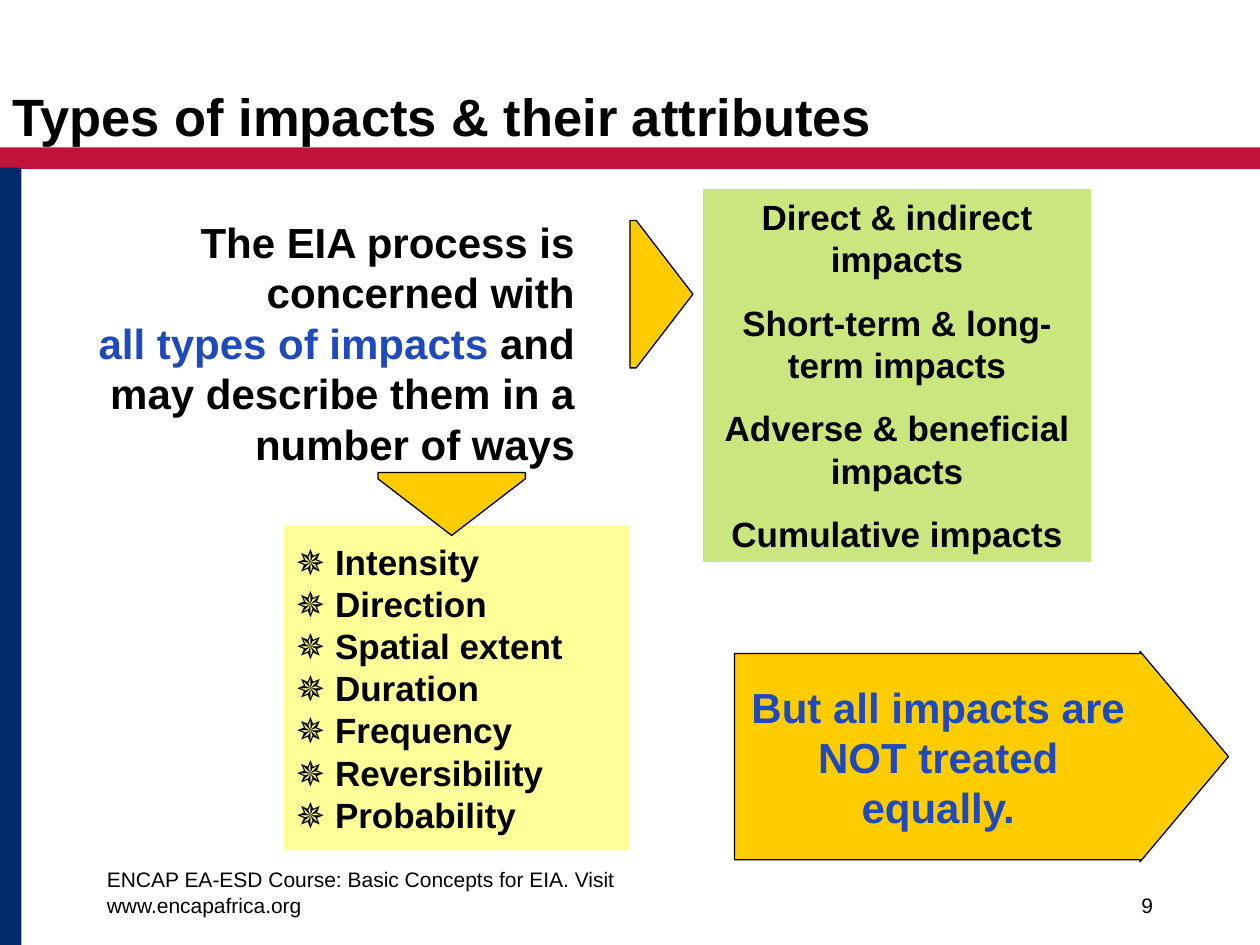
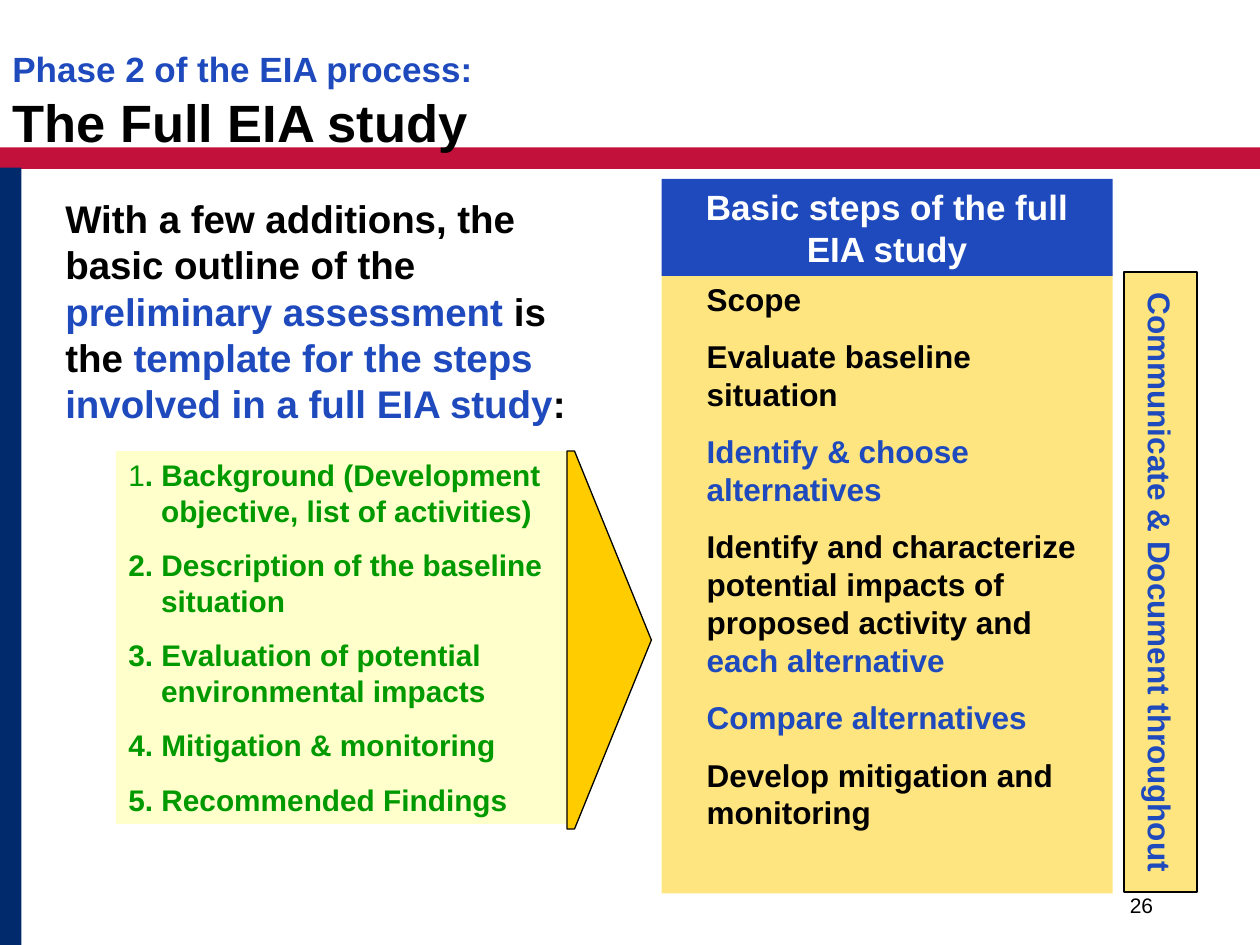
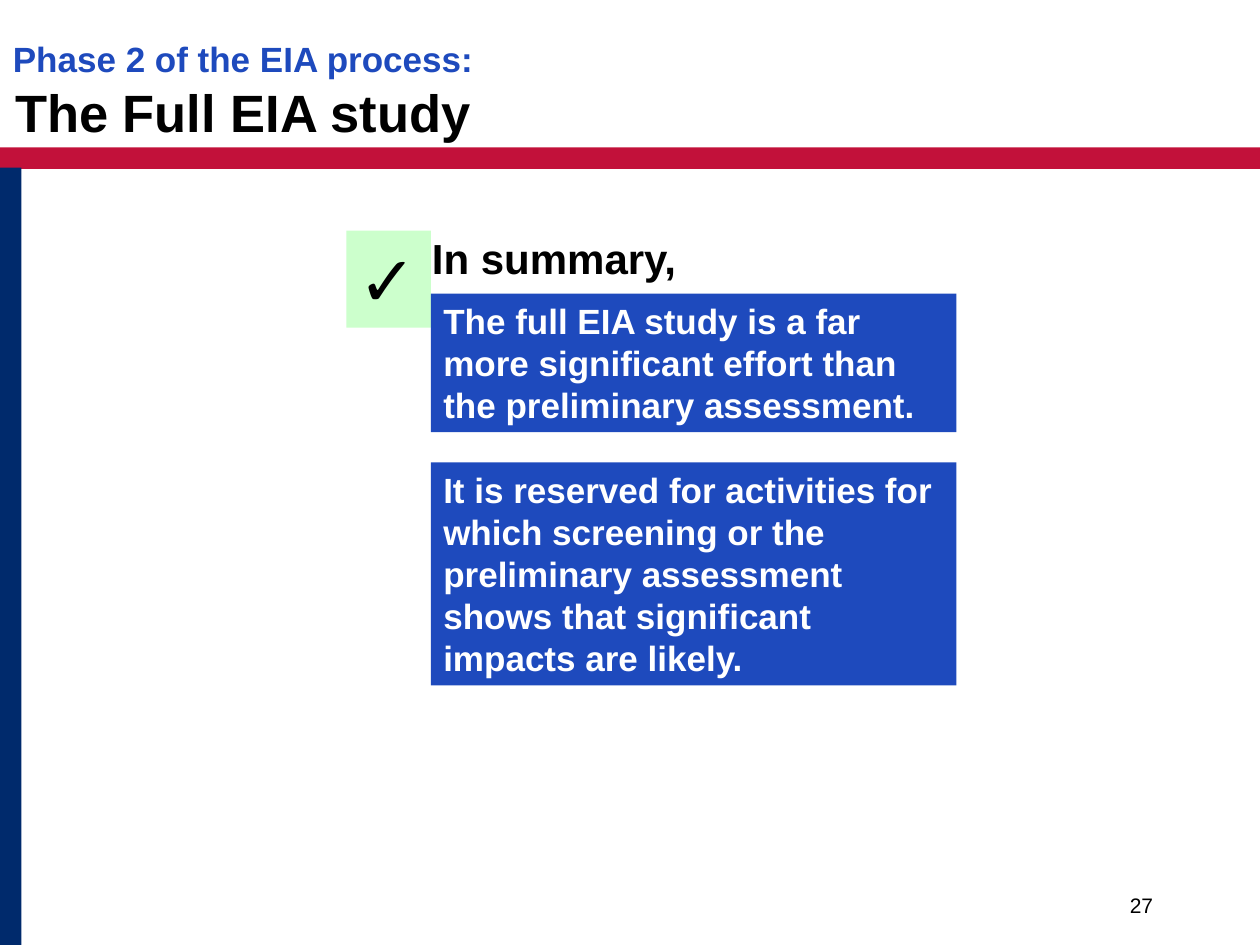
from dataclasses import dataclass
from typing import NamedTuple

from lxml import etree
from pptx import Presentation
from pptx.dml import color
from pptx.enum import shapes, text
from pptx.oxml import ns
from pptx.util import Inches, Pt

FONT = "Arial"
BLACK, WHITE, BLUE, GREEN = "000000", "FFFFFF", "1E4ABD", "009900"
RED, NAVY, GOLD, LEMON = "C2113A", "002A6C", "FFCC00", "FFFF99"
LIME, MINT = "99CC00", "CCFFCC"
LEFT, MID, RIGHT = text.PP_ALIGN.LEFT, text.PP_ALIGN.CENTER, text.PP_ALIGN.RIGHT
TOP, CORE, BASE = text.MSO_ANCHOR.TOP, text.MSO_ANCHOR.MIDDLE, text.MSO_ANCHOR.BOTTOM
RECT, ARROW = shapes.MSO_SHAPE.RECTANGLE, shapes.MSO_SHAPE.RIGHT_ARROW


class Run(NamedTuple):
    words: str
    size: float
    tint: str = BLACK
    bold: bool = True


@dataclass
class Box:
    left: float
    top: float
    width: float
    height: float
    paras: tuple = ()
    fill: str = ""
    alpha: int = 100
    line: str = ""
    align: int = LEFT
    anchor: int = TOP
    gap: float = 0
    margin: float = 0
    hang: float = 0
    wrap: bool = True
    turn: int = 0
    form: int = RECT
    bends: tuple = ()


def rgb(code: str) -> color.RGBColor:
    return color.RGBColor.from_string(code)


def apply(item, values: dict) -> None:
    for name, value in values.items():
        setattr(item, name, value)


def paint(shape, fill: str, line: str, alpha: int = 100) -> None:
    shape.shadow.inherit = False
    shape.fill.solid()
    shape.fill.fore_color.rgb = rgb(fill)
    if alpha < 100:
        tone = shape.fill._xPr.find(".//" + ns.qn("a:srgbClr"))
        etree.SubElement(tone, ns.qn("a:alpha"), val=str(alpha * 1000))
    if line:
        shape.line.color.rgb = rgb(line)
        shape.line.width = Pt(0.75)
    else:
        shape.line.fill.background()


def write(para, run: Run) -> None:
    for i, part in enumerate(run.words.split("\n")):
        if i:
            para.add_line_break()
        if part:
            piece = para.add_run()
            piece.text = part
            apply(piece.font, {"name": FONT, "size": Pt(run.size), "bold": run.bold})
            piece.font.color.rgb = rgb(run.tint)


def draw(slide, box: Box) -> None:
    area = [Inches(n) for n in (box.left, box.top, box.width, box.height)]
    if box.fill:
        shape = slide.shapes.add_shape(box.form, *area)
        paint(shape, box.fill, box.line, box.alpha)
        for i, bend in enumerate(box.bends):
            shape.adjustments[i] = bend
    else:
        shape = slide.shapes.add_textbox(*area)
    shape.rotation = box.turn
    frame = shape.text_frame
    apply(frame, {
        "word_wrap": box.wrap, "vertical_anchor": box.anchor,
        "margin_left": Inches(0.1), "margin_right": Inches(0.1),
        "margin_top": Inches(0.05), "margin_bottom": Inches(0.05),
    })
    for i, runs in enumerate(box.paras):
        para = frame.add_paragraph() if i else frame.paragraphs[0]
        para.alignment = box.align
        if i and box.gap:
            para.space_before = Pt(box.gap)
        if box.margin:
            props = para._p.get_or_add_pPr()
            props.set("marL", str(Inches(box.margin)))
            props.set("indent", str(Inches(-box.hang)))
        for run in runs:
            write(para, run)


def wedge(slide, left: float, top: float, depth: float, span: float,
          lip: float = 0.05, down: bool = False) -> None:
    spots = [(0, 0), (lip, 0), (depth, span / 2), (lip, span), (0, span)]
    if down:
        spots = [(y, x) for x, y in spots]
    spots = [(Inches(left + x), Inches(top + y)) for x, y in spots]
    pen = slide.shapes.build_freeform(*spots[0])
    pen.add_line_segments(spots[1:], close=True)
    paint(pen.convert_to_shape(), GOLD, BLACK)


def lines(size: float, *words: str, tint: str = BLACK) -> tuple:
    return tuple((Run(word, size, tint),) for word in words)


PHASE = ((Run("Phase 2 of the EIA process:\n", 20, BLUE), Run("The Full EIA study", 30)),)


def start(deck, page: int, title: Box):
    slide = deck.slides.add_slide(deck.slide_layouts[6])
    number = ((Run(str(page), 12, bold=False),),)
    for box in (
        Box(0, 1.17, 10, 0.17, fill=RED),
        Box(0, 1.33, 0.17, 6.17, fill=NAVY),
        Box(7.17, 6.83, 2.08, 0.5, number, align=RIGHT, anchor=BASE),
        title,
    ):
        draw(slide, box)
    return slide


def types(deck) -> None:
    title = lines(30, "Types of impacts & their attributes")
    slide = start(deck, 9, Box(0, 0.58, 8.5, 0.67, title, anchor=CORE))
    foot = "ENCAP EA-ESD Course: Basic Concepts for EIA. Visit www.encapafrica.org"
    draw(slide, Box(0.75, 6.83, 5, 0.5, ((Run(foot, 12, bold=False),),), anchor=BASE))
    kinds = lines(20, "Direct & indirect impacts", "Short-term & long-term impacts",
                  "Adverse & beneficial impacts", "Cumulative impacts")
    draw(slide, Box(5.58, 1.5, 3.08, 2.96, kinds, LIME, 50, align=MID, gap=12.5))
    intro = (
        Run("The EIA process is concerned with\n", 24),
        Run("all types of impacts", 24, BLUE),
        Run(" and may describe them in a number of ways", 24),
    )
    draw(slide, Box(0.33, 1.67, 4.33, 2.1, (intro,), align=RIGHT))
    wedge(slide, 5, 1.75, 0.5, 1.17)
    traits = ("Intensity", "Direction", "Spatial extent", "Duration",
              "Frequency", "Reversibility", "Probability")
    marks = lines(20, *(f"✵ {trait}" for trait in traits))
    draw(slide, Box(2.25, 4.17, 2.75, 2.58, marks, LEMON, anchor=CORE))
    wedge(slide, 3, 3.75, 0.5, 1.17, down=True)
    claim = lines(24, "But all impacts are NOT treated equally.", tint=BLUE)
    draw(slide, Box(5.83, 5.17, 3.92, 1.67, claim, GOLD, line=BLACK, align=MID,
                    anchor=CORE, form=ARROW, bends=(0.98, 0.42)))


def study(deck) -> None:
    slide = start(deck, 26, Box(0, 0.33, 8.5, 0.67, PHASE))
    intro = (
        Run("With a few additions, the basic outline of the ", 22),
        Run("preliminary assessment", 22, BLUE),
        Run(" is the ", 22),
        Run("template for the steps involved in a full EIA study", 22, BLUE),
        Run(":", 22),
    )
    draw(slide, Box(0.42, 1.5, 4.25, 2.08, (intro,)))
    steps = (
        *lines(18, "Scope", "Evaluate baseline situation"),
        *lines(18, "Identify & choose alternatives", tint=BLUE),
        (Run("Identify and characterize potential impacts of proposed activity and ", 18),
         Run("each alternative", 18, BLUE)),
        *lines(18, "Compare alternatives", tint=BLUE),
        *lines(18, "Develop mitigation and monitoring"),
    )
    draw(slide, Box(5.25, 2.17, 3.58, 4.92, steps, GOLD, 50, gap=11.2, margin=0.26))
    first = (Run("1", 17, GREEN, False),
             Run(". Background (Development objective, list of activities)", 17, GREEN))
    rest = lines(17, "2. Description of the baseline situation",
                 "3. Evaluation of potential environmental impacts",
                 "4. Mitigation & monitoring", "5. Recommended Findings", tint=GREEN)
    draw(slide, Box(0.92, 3.58, 3.58, 2.96, (first, *rest), LEMON, 50,
                    gap=10.6, margin=0.26, hang=0.26))
    wedge(slide, 4.5, 3.58, 0.67, 3, 0.06)
    head = lines(20, "Basic steps of the full EIA study", tint=WHITE)
    draw(slide, Box(5.25, 1.42, 3.58, 0.77, head, BLUE, align=MID))
    side = lines(18, "Communicate & Document throughout", tint=BLUE)
    draw(slide, Box(6.75, 4.33, 4.92, 0.58, side, GOLD, 50, BLACK, MID, CORE,
                    wrap=False, turn=90))


def recap(deck) -> None:
    slide = start(deck, 27, Box(0, 0.25, 3.86, 0.94, PHASE, align=MID, wrap=False))
    draw(slide, Box(3.33, 1.8, 5.33, 0.6, lines(24, "In summary,")))
    draw(slide, Box(2.75, 1.83, 0.67, 0.77, lines(40, "✓"), MINT))
    for top, height, words in (
        (2.33, 1.1, "The full EIA study is a far more significant effort than "
                    "the preliminary assessment."),
        (3.67, 1.77, "It is reserved for activities for which screening or the "
                     "preliminary assessment shows that significant impacts are likely."),
    ):
        draw(slide, Box(3.42, top, 4.17, height, lines(20, words, tint=WHITE), BLUE))


def main() -> None:
    deck = Presentation()
    apply(deck, {"slide_width": Inches(10), "slide_height": Inches(7.5)})
    for build in (types, study, recap):
        build(deck)
    deck.save("out.pptx")


if __name__ == "__main__":
    main()
